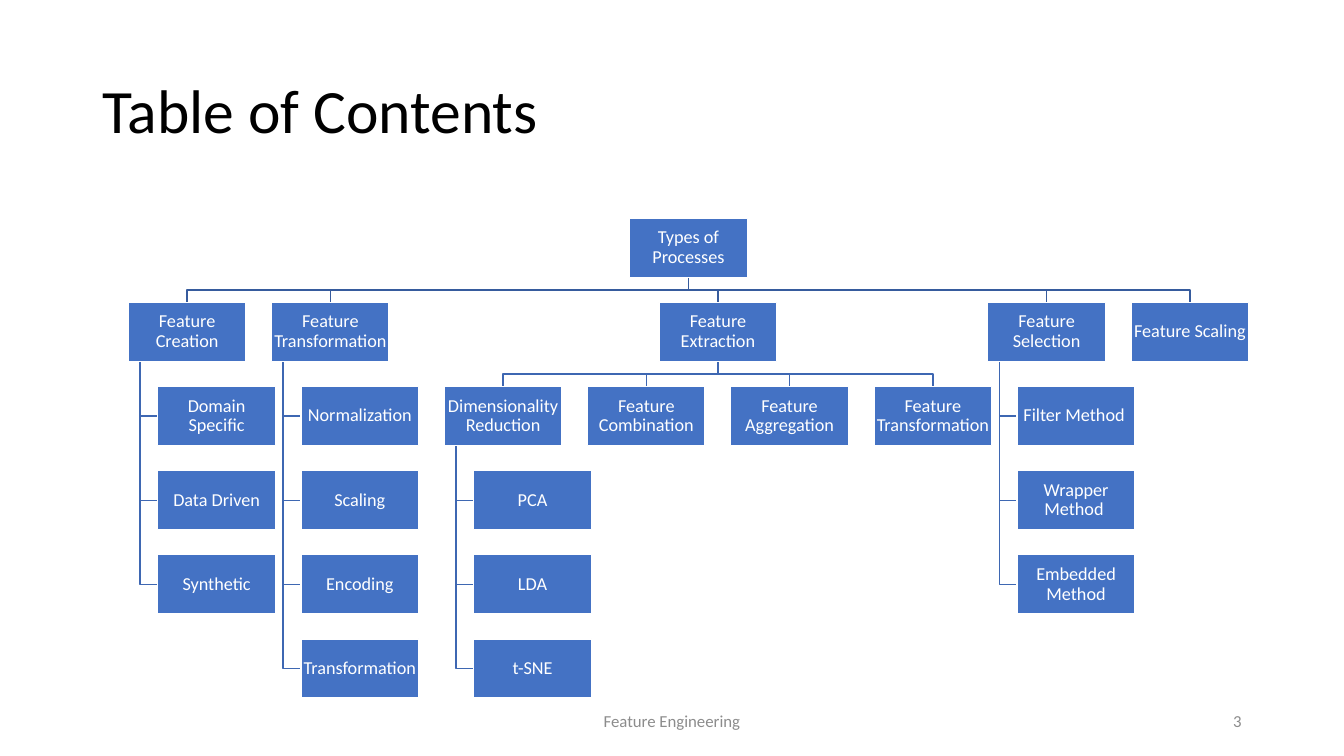
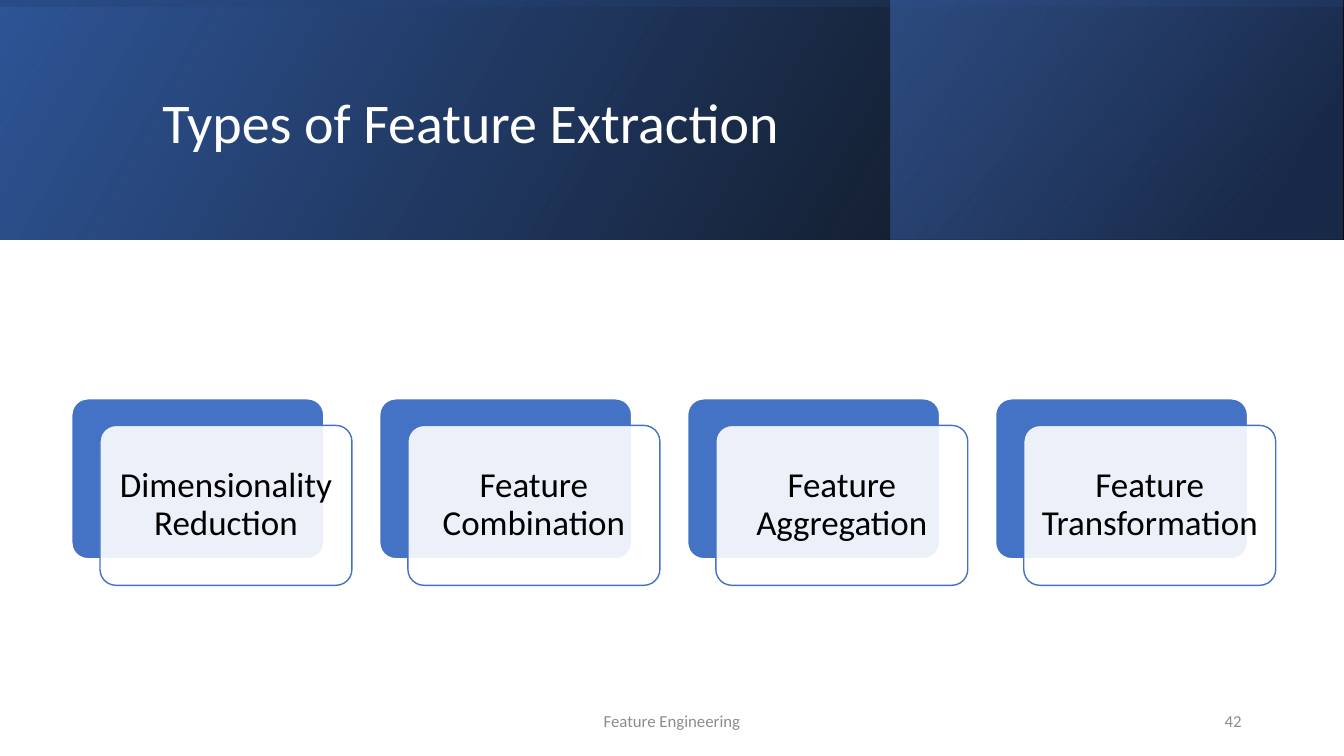
from pptx import Presentation
from pptx.dml.color import RGBColor
from pptx.enum.shapes import MSO_SHAPE
from pptx.enum.text import MSO_ANCHOR, MSO_AUTO_SIZE, PP_ALIGN
from pptx.oxml.ns import qn
from pptx.util import Cm, Pt
from lxml import etree

RECTANGLE, ROUNDED = MSO_SHAPE.RECTANGLE, MSO_SHAPE.ROUNDED_RECTANGLE
LEFT, CENTER, RIGHT = PP_ALIGN.LEFT, PP_ALIGN.CENTER, PP_ALIGN.RIGHT
MIDDLE, NO_AUTOFIT = MSO_ANCHOR.MIDDLE, MSO_AUTO_SIZE.NONE
TITLE_ONLY = 5

FONT = "Calibri"
BLACK, WHITE, BLUE, GRAY = "000000", "FFFFFF", "4472C4", "8C8C8C"
DEEP_BLUE, NAVY = "2F5597", "203864"
ROOT_LINE, BRANCH_LINE = "365B9D", "3E67B2"

# Tree measures in centimetres
TREE_LEFT, TREE_TOP = 3.23, 5.5
BOX_WIDTH, BOX_HEIGHT = 2.97, 1.49
COLUMN_STEP, ROW_STEP = 3.61, 2.12
INDENT = BOX_WIDTH / 4
TRUNK = BOX_WIDTH / 10

EXTRACTION_TYPES = ["Dimensionality Reduction", "Feature Combination",
                    "Feature Aggregation", "Feature Transformation"]

# Branches: label, children that hang below, children that spread sideways
BRANCHES = [
    ("Feature Creation", ["Domain Specific", "Data Driven", "Synthetic"], []),
    ("Feature Transformation",
     ["Normalization", "Scaling", "Encoding", "Transformation"], []),
    ("Feature Extraction", [],
     [(label, ["PCA", "LDA", "t-SNE"] if index == 0 else [], [])
      for index, label in enumerate(EXTRACTION_TYPES)]),
    ("Feature Selection",
     ["Filter Method ", "Wrapper Method ", "Embedded Method"], []),
    ("Feature Scaling", [], []),
]
PROCESS_TREE = ("Types of Processes", [], BRANCHES)


def color(hex_text):
    return RGBColor.from_string(hex_text)


def set_alpha(color_element, percent):
    alpha = etree.SubElement(color_element, qn("a:alpha"))
    alpha.set("val", str(percent * 1000))


class TreeLayout:
    """Finds the places of the boxes and links of a tree."""

    def __init__(self, tree):
        self.boxes, self.links = [], []
        self.next_column = 0
        self.place(tree, 0, 0)

    def place(self, node, row, shift):
        """Places a node with all below it and returns its middle."""
        label, hanging, spread = node
        top = TREE_TOP + row * ROW_STEP
        bottom = top + BOX_HEIGHT
        if spread:
            child_shift = INDENT if row else 0
            middles = [self.place(child, row + 1, child_shift)
                       for child in spread]
            middle = (middles[0] + middles[-1]) / 2
            child_top = top + ROW_STEP
            bend = (bottom + child_top) / 2
            line = BRANCH_LINE if row else ROOT_LINE
            for end in middles:
                self.links.append(([(middle, bottom), (middle, bend),
                                    (end, bend), (end, child_top)], line))
        else:
            left = TREE_LEFT + self.next_column * COLUMN_STEP + shift
            middle = left + BOX_WIDTH / 2
            self.next_column += 1
        left = middle - BOX_WIDTH / 2
        self.boxes.append((label, left, top))

        trunk, child_left = left + TRUNK, left + INDENT
        for step, child in enumerate(hanging, 1):
            child_top = top + step * ROW_STEP
            center = child_top + BOX_HEIGHT / 2
            self.boxes.append((child, child_left, child_top))
            self.links.append(([(trunk, bottom), (trunk, center),
                                (child_left, center)], BRANCH_LINE))
        return middle


class Deck:
    """Holds the shared style and the current slide."""

    def __init__(self):
        self.presentation = Presentation()
        self.presentation.slide_width = Cm(33.87)
        self.presentation.slide_height = Cm(19.05)
        self.slide = None

    def add_slide(self, number):
        layout = self.presentation.slide_layouts[TITLE_ONLY]
        self.slide = self.presentation.slides.add_slide(layout)
        self.label("Feature Engineering", 11.22, 11.43, CENTER)
        self.label(str(number), 23.92, 7.62, RIGHT)

    def set_text(self, shape, text, size, text_color, align, spacing=0.9, inset=None):
        frame = shape.text_frame
        frame.text = text
        frame.word_wrap = True
        frame.auto_size = NO_AUTOFIT
        frame.vertical_anchor = MIDDLE
        if inset is not None:
            frame.margin_left = frame.margin_right = Cm(inset)
            frame.margin_top = frame.margin_bottom = Cm(inset)
        paragraph = frame.paragraphs[0]
        paragraph.alignment = align
        paragraph.line_spacing = spacing
        font = paragraph.runs[0].font
        font.name, font.size = FONT, Pt(size)
        font.color.rgb = color(text_color)

    def label(self, text, left, width, align):
        box = self.slide.shapes.add_textbox(Cm(left), Cm(17.66), Cm(width), Cm(1.01))
        self.set_text(box, text, 12, GRAY, align, spacing=1.0)

    def title(self, text, left, top, width, height, size, text_color):
        title = self.slide.shapes.title
        title.left, title.top = Cm(left), Cm(top)
        title.width, title.height = Cm(width), Cm(height)
        self.set_text(title, text, size, text_color, LEFT)
        # Bring the title in front of what is already on the slide
        title._element.getparent().append(title._element)

    def box(self, kind, left, top, width, height, fill, line):
        shape = self.slide.shapes.add_shape(
            kind, Cm(left), Cm(top), Cm(width), Cm(height))
        shape.shadow.inherit = False
        shape.fill.solid()
        shape.fill.fore_color.rgb = color(fill)
        shape.line.color.rgb = color(line)
        shape.line.width = Pt(1)
        return shape

    def link(self, points, line):
        start, *others = [(Cm(x), Cm(y)) for x, y in points]
        builder = self.slide.shapes.build_freeform(*start)
        builder.add_line_segments(others, close=False)
        shape = builder.convert_to_shape()
        shape.shadow.inherit = False
        shape.fill.background()
        shape.line.color.rgb = color(line)
        shape.line.width = Pt(1)

    def band(self, left, top, width, height, angle, stops, rotation=0):
        """Adds a mirrored gradient band; stops are position, colour, opacity."""
        shape = self.box(RECTANGLE, left, top, width, height, BLUE, BLUE)
        shape.line.fill.background()
        shape.rotation = rotation
        shape._element.spPr.find(qn("a:xfrm")).set("flipH", "1")
        shape.fill.gradient()
        shape.fill.gradient_angle = angle
        for stop, (position, stop_color, _) in zip(shape.fill.gradient_stops, stops):
            stop.position = position
            stop.color.rgb = color(stop_color)
        gradient = shape._element.spPr.find(qn("a:gradFill"))
        for element, (_, _, opacity) in zip(gradient.iter(qn("a:srgbClr")), stops):
            if opacity < 100:
                set_alpha(element, opacity)

    def tree(self, tree):
        layout = TreeLayout(tree)
        for points, line in layout.links:
            self.link(points, line)
        for text, left, top in layout.boxes:
            shape = self.box(RECTANGLE, left, top, BOX_WIDTH, BOX_HEIGHT, BLUE, WHITE)
            self.set_text(shape, text, 13, WHITE, CENTER, inset=0.03)

    def card(self, text, left, top):
        width, height = 6.35, 4.03
        back = self.box(ROUNDED, left, top, width, height, BLUE, WHITE)
        front = self.box(ROUNDED, left + 0.71, top + 0.67, width, height, WHITE, BLUE)
        for shape in (back, front):
            shape.adjustments[0] = 0.1
        fill = front._element.spPr.find(qn("a:solidFill"))
        set_alpha(fill.find(qn("a:srgbClr")), 90)
        self.set_text(front, text, 25, BLACK, CENTER, inset=0.25)


def main():
    deck = Deck()

    # Table of contents
    deck.add_slide(3)
    deck.title("Table of Contents", 2.33, 1.01, 29.21, 3.68, 44, BLACK)
    deck.tree(PROCESS_TREE)

    # Types of feature extraction
    deck.add_slide(42)
    width, height = 33.87, 6.03
    deck.band(0, 0, width, height, 30, [(0, BLACK, 96), (1, DEEP_BLUE, 100)])
    deck.band(22.45, 0, 11.39, height, 40, [(0.19, NAVY, 68), (1, BLUE, 48)])
    # This band stands upright and is turned to lie over the header
    offset = (width - height) / 2
    deck.band(offset, -offset, height, width, 10,
              [(0.23, DEEP_BLUE, 16), (0.99, BLACK, 45)], rotation=270)
    deck.title("Types of Feature Extraction", 3.84, 0.97, 27, 4.37, 40, WHITE)
    for index, text in enumerate(EXTRACTION_TYPES):
        deck.card(text, 1.81 + index * 7.76, 10.05)

    deck.presentation.save("out.pptx")


if __name__ == "__main__":
    main()
